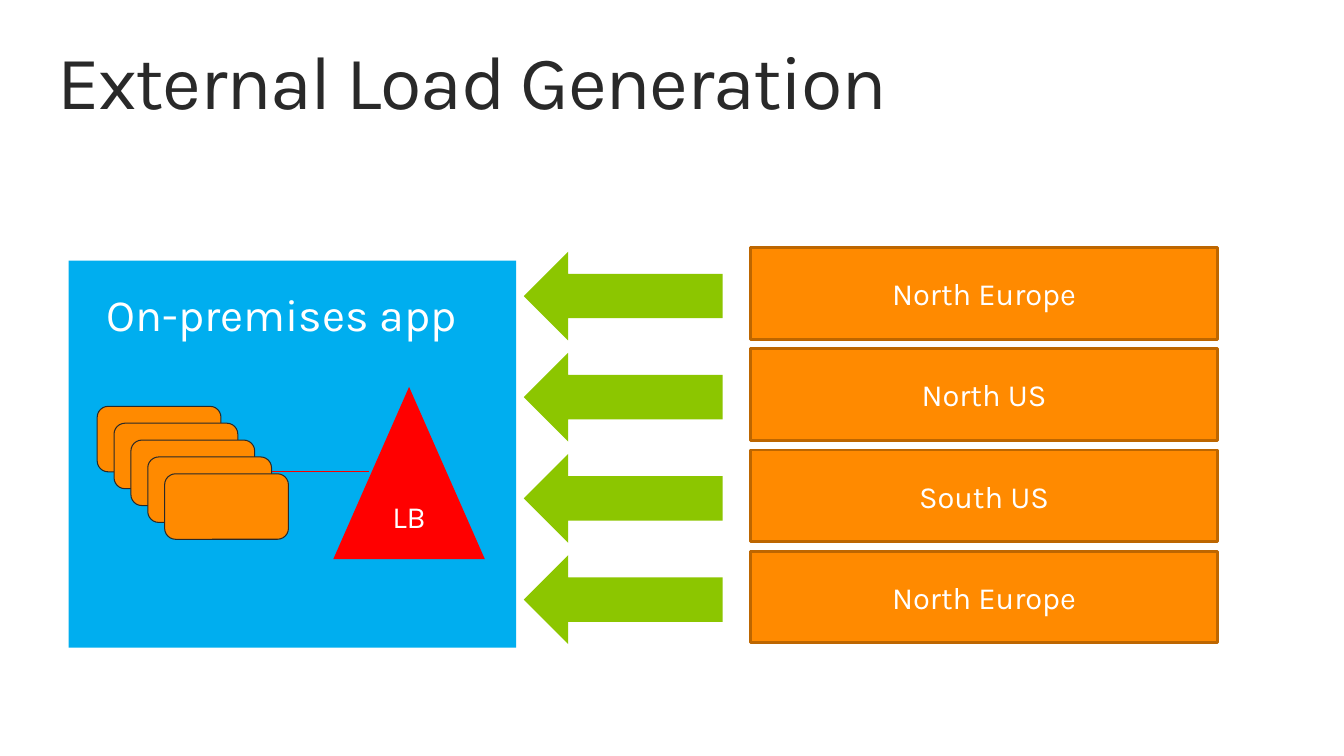
from pptx import Presentation
from pptx.dml.color import RGBColor
from pptx.enum.shapes import MSO_CONNECTOR, MSO_SHAPE as SHAPE
from pptx.enum.text import MSO_ANCHOR as ANCHOR, MSO_AUTO_SIZE, PP_ALIGN as ALIGN
from pptx.oxml.ns import qn
from pptx.util import Cm, Pt
from lxml import etree

WHITE = RGBColor(0xFF, 0xFF, 0xFF)
DARK = RGBColor(0x29, 0x29, 0x29)
BLUE = RGBColor(0x00, 0xAE, 0xEF)
ORANGE = RGBColor(0xFF, 0x8A, 0x00)
BROWN = RGBColor(0xBD, 0x66, 0x00)
GREEN = RGBColor(0x8C, 0xC6, 0x00)
RED = RGBColor(0xFF, 0x00, 0x00)
LINK_RED = RGBColor(0xF9, 0x00, 0x00)

REGIONS = ["North Europe", "North US", "South US", "North Europe"]
REGION_TOP, REGION_STEP = 6.24, 2.55
SERVER_COUNT, SERVER_STEP = 5, 0.425


class Deck:
    font = "Karla"

    def __init__(self):
        self.prs = Presentation()
        self.prs.slide_width, self.prs.slide_height = Cm(33.87), Cm(19.05)
        self.slide = self.prs.slides.add_slide(self.prs.slide_layouts[5])

    def style(self, tf, text, size, color, align, anchor):
        tf.text = text
        tf.word_wrap = True
        tf.vertical_anchor = anchor
        p = tf.paragraphs[0]
        p.alignment = align
        r = p.runs[0]
        r.font.name = self.font
        r.font.size = Pt(size)
        r.font.color.rgb = color
        return p

    def heading(self, sp, text, size, color):
        tf = sp.text_frame
        p = self.style(tf, text, size, color, ALIGN.LEFT, ANCHOR.TOP)
        tf.margin_left = tf.margin_top = tf.margin_right = tf.margin_bottom = 0
        tf.auto_size = MSO_AUTO_SIZE.NONE
        p.line_spacing = 0.9
        return p

    def title(self, text, x, y, w, h):
        sp = self.slide.shapes.title
        sp.left, sp.top, sp.width, sp.height = Cm(x), Cm(y), Cm(w), Cm(h)
        p = self.heading(sp, text, 54, DARK)
        p.runs[0].font._element.set("spc", "-100")

    def label(self, text, x, y, w, h):
        sp = self.slide.shapes.add_textbox(Cm(x), Cm(y), Cm(w), Cm(h))
        self.heading(sp, text, 32, WHITE)

    def shape(self, kind, x, y, w, h, fill, line=None, width=0.75, text="", parent=None):
        shapes = (parent or self.slide).shapes
        sp = shapes.add_shape(kind, Cm(x), Cm(y), Cm(w), Cm(h))
        sp.shadow.inherit = False
        sp.fill.solid()
        sp.fill.fore_color.rgb = fill
        if line is None:
            sp.line.fill.background()
        else:
            sp.line.color.rgb = line
            sp.line.width = Pt(width)
        if text:
            self.style(sp.text_frame, text, 22, WHITE, ALIGN.CENTER, ANCHOR.MIDDLE)

    def line(self, x1, y1, x2, y2, color):
        cx = self.slide.shapes.add_connector(
            MSO_CONNECTOR.STRAIGHT, Cm(x1), Cm(y1), Cm(x2), Cm(y2))
        cx.line.color.rgb = color
        cx.line.width = Pt(0.75)
        etree.SubElement(cx._element.spPr, qn("a:effectLst"))

    def group(self):
        return self.slide.shapes.add_group_shape()


def main():
    deck = Deck()
    deck.title("External Load Generation", 1.45, 1.12, 30.96, 2.11)

    deck.shape(SHAPE.RECTANGLE, 1.73, 6.57, 11.28, 9.75, BLUE)
    deck.label("On-premises app", 2.69, 7.39, 9.14, 1.22)
    deck.line(9.3, 11.89, 5.28, 11.89, LINK_RED)
    servers = deck.group()
    for i in range(SERVER_COUNT):
        offset = i * SERVER_STEP
        deck.shape(SHAPE.ROUNDED_RECTANGLE, 2.45 + offset, 10.24 + offset,
                   3.12, 1.65, ORANGE, DARK, parent=servers)
    deck.shape(SHAPE.ISOSCELES_TRIANGLE, 8.4, 9.75, 3.82, 4.34, RED, text="LB")

    for i, region in enumerate(REGIONS):
        top = REGION_TOP + i * REGION_STEP
        deck.shape(SHAPE.RECTANGLE, 18.92, top, 11.76, 2.31, ORANGE, BROWN, 2, region)
        deck.shape(SHAPE.LEFT_ARROW, 13.2, top + 0.1, 5.01, 2.24, GREEN)

    deck.prs.save("out.pptx")


if __name__ == "__main__":
    main()
